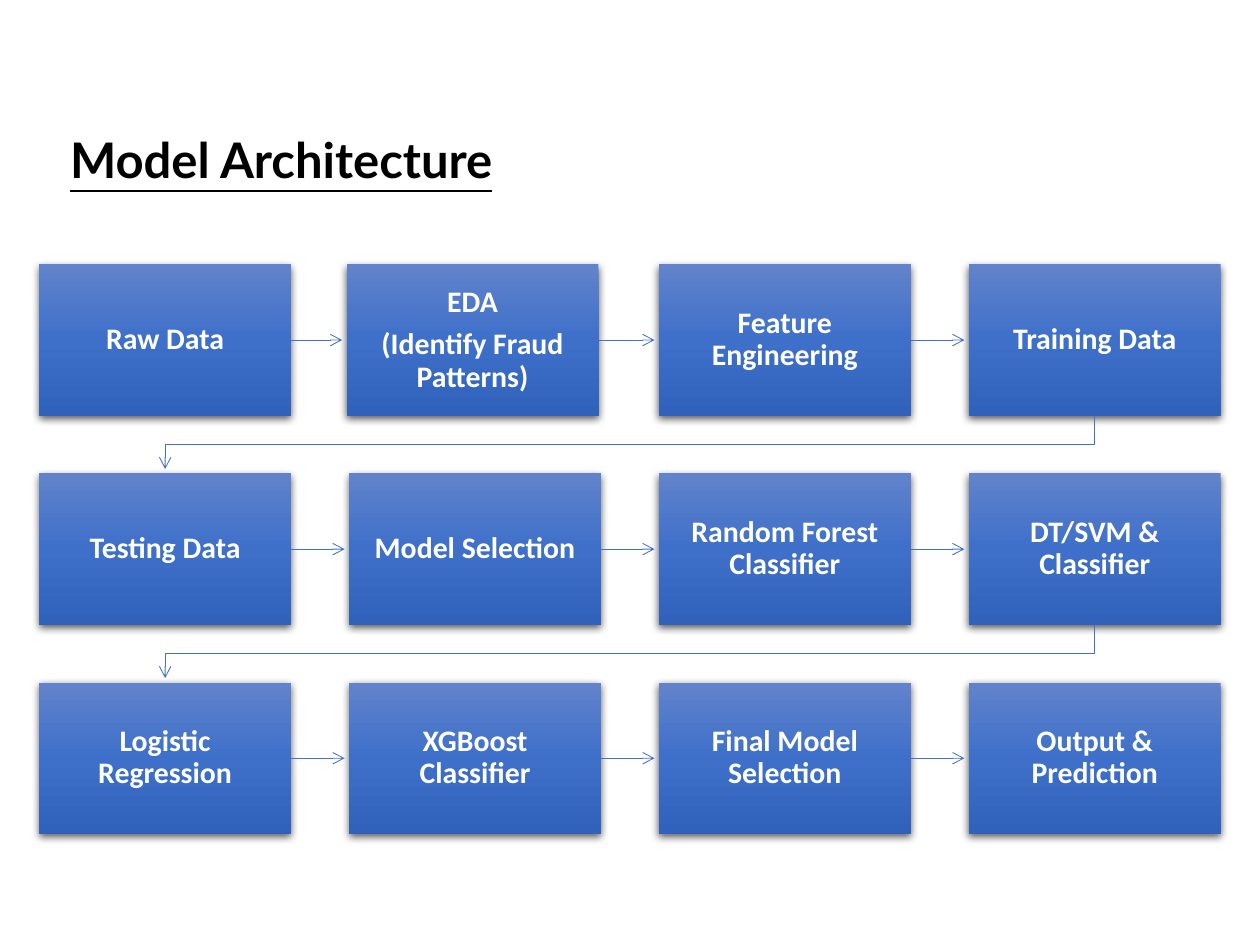
import copy
from collections import namedtuple
from dataclasses import dataclass

import lxml.etree
import pptx
import pptx.dml.color
import pptx.enum.shapes
import pptx.enum.text
import pptx.oxml
import pptx.oxml.ns
import pptx.util

Cm, Pt = pptx.util.Cm, pptx.util.Pt
qn = pptx.oxml.ns.qn
Box = namedtuple("Box", "left top width height")


@dataclass(frozen=True)
class Theme:
    """Colours, fonts and sizes of the slide."""
    title_color: str = "000000"
    step_color: str = "FFFFFF"
    arrow_color: str = "4472C4"
    gradient: tuple = ((0, "6183CB"), (0.5, "3E70CA"), (1, "3062BB"))
    title_font: str = "Lato"
    step_font: str = "Calibri"
    title_size: int = 28
    step_size: int = 17
    arrow_width: float = 0.5


THEME = Theme()
STEP_WIDTH, STEP_HEIGHT = 5.08, 3.05
ARROW_GAP = 0.09
STEPS = [
    [["Raw Data"], ["EDA", "(Identify Fraud Patterns)"], ["Feature Engineering"], ["Training Data"]],
    [["Testing Data"], ["Model Selection"], ["Random Forest Classifier"], ["DT/SVM & Classifier"]],
    [["Logistic Regression"], ["XGBoost Classifier"], ["Final Model Selection"], ["Output & Prediction"]],
]
NUDGES = {(0, 1): -0.05}
SHADOW = (
    '<a:outerShdw xmlns:a="http://schemas.openxmlformats.org/drawingml/2006/main" '
    'blurRad="57150" dist="19050" dir="5400000" algn="ctr" rotWithShape="0">'
    '<a:srgbClr val="000000"><a:alpha val="63000"/></a:srgbClr></a:outerShdw>'
)


def rgb(value):
    """Return a colour from its hexadecimal text."""
    return pptx.dml.color.RGBColor.from_string(value)


def apply(target, formats):
    """Set each attribute of the target named in formats."""
    for name, value in formats.items():
        setattr(target, name, value)


def write(frame, lines, color, font, frame_format, paragraph_format):
    """Write one formatted paragraph for each line of text."""
    apply(frame, {"word_wrap": True, **frame_format})
    for index, line in enumerate(lines):
        paragraph = frame.add_paragraph() if index else frame.paragraphs[0]
        apply(paragraph, {"alignment": pptx.enum.text.PP_ALIGN.CENTER, **paragraph_format})
        run = paragraph.add_run()
        run.text = line
        apply(run.font, {"bold": True, **font})
        run.font.color.rgb = rgb(color)


def add_title(slide, box):
    """Place the underlined heading in the box."""
    shape = slide.shapes.add_textbox(*map(Cm, box))
    font = {"name": THEME.title_font, "size": Pt(THEME.title_size), "underline": True}
    fit = {"auto_size": pptx.enum.text.MSO_AUTO_SIZE.SHAPE_TO_FIT_TEXT}
    write(shape.text_frame, ["Model Architecture"], THEME.title_color, font, fit, {})


def add_step(slide, box, lines):
    """Place one shaded step of the flow in the box."""
    shape = slide.shapes.add_shape(pptx.enum.shapes.MSO_SHAPE.RECTANGLE, *map(Cm, box))
    shape.fill.gradient()
    shape.fill.gradient_angle = 270
    stops = shape.element.spPr.find(qn("a:gradFill")).find(qn("a:gsLst"))
    stops.append(copy.deepcopy(stops[-1]))
    for stop, (position, color) in zip(shape.fill.gradient_stops, THEME.gradient):
        stop.position = position
        stop.color.rgb = rgb(color)
    shape.line.fill.background()
    shape.shadow.inherit = False
    shape.element.spPr.find(qn("a:effectLst")).append(pptx.oxml.parse_xml(SHADOW))
    margins = {f"margin_{side}": Cm(0.33) for side in ("left", "top", "right", "bottom")}
    anchor = {"vertical_anchor": pptx.enum.text.MSO_ANCHOR.MIDDLE}
    write(shape.text_frame, lines, THEME.step_color,
          {"name": THEME.step_font, "size": Pt(THEME.step_size)},
          {**margins, **anchor}, {"line_spacing": 0.9, "space_after": Pt(6)})


def style_arrow(shape):
    """Give a connector or open outline the arrow look."""
    shape.line.color.rgb = rgb(THEME.arrow_color)
    shape.line.width = Pt(THEME.arrow_width)
    properties = shape.element.spPr
    lxml.etree.SubElement(properties.find(qn("a:ln")), qn("a:tailEnd"), type="arrow")
    if properties.find(qn("a:effectLst")) is None:
        lxml.etree.SubElement(properties, qn("a:effectLst"))


def add_arrow(slide, source, target):
    """Join two neighbouring steps of a row."""
    middle = source.top + source.height / 2
    ends = (source.left + source.width, middle, target.left - ARROW_GAP, middle)
    kind = pptx.enum.shapes.MSO_CONNECTOR.STRAIGHT
    style_arrow(slide.shapes.add_connector(kind, *map(Cm, ends)))


def add_row_turn(slide, source, target):
    """Lead from the last step of a row to the first of the next."""
    start_x = source.left + source.width / 2
    end_x = target.left + target.width / 2
    start_y = source.top + source.height
    turn_y = (start_y + target.top) / 2
    points = [(start_x, turn_y), (end_x, turn_y), (end_x, target.top - ARROW_GAP)]
    builder = slide.shapes.build_freeform(Cm(start_x), Cm(start_y))
    builder.add_line_segments([(Cm(x), Cm(y)) for x, y in points], close=False)
    shape = builder.convert_to_shape()
    shape.fill.background()
    shape.shadow.inherit = False
    style_arrow(shape)


def add_flow(slide, box):
    """Spread the steps over the box and link them in reading order."""
    column_pitch = (box.width - STEP_WIDTH) / (len(STEPS[0]) - 1)
    row_pitch = (box.height - STEP_HEIGHT) / (len(STEPS) - 1)
    previous = None
    for row, texts in enumerate(STEPS):
        for column, lines in enumerate(texts):
            left = box.left + column * column_pitch + NUDGES.get((row, column), 0)
            step = Box(left, box.top + row * row_pitch, STEP_WIDTH, STEP_HEIGHT)
            if previous:
                link = add_arrow if column else add_row_turn
                link(slide, previous, step)
            add_step(slide, step, lines)
            previous = step


def main():
    """Build the slide and save it."""
    presentation = pptx.Presentation()
    apply(presentation, {"slide_width": Cm(25.4), "slide_height": Cm(19.05)})
    slide = presentation.slides.add_slide(presentation.slide_layouts[6])
    add_title(slide, Box(1.02, 2.49, 9.3, 1.45))
    add_flow(slide, Box(0.79, 5.33, 23.82, 11.48))
    presentation.save("out.pptx")


if __name__ == "__main__":
    main()
